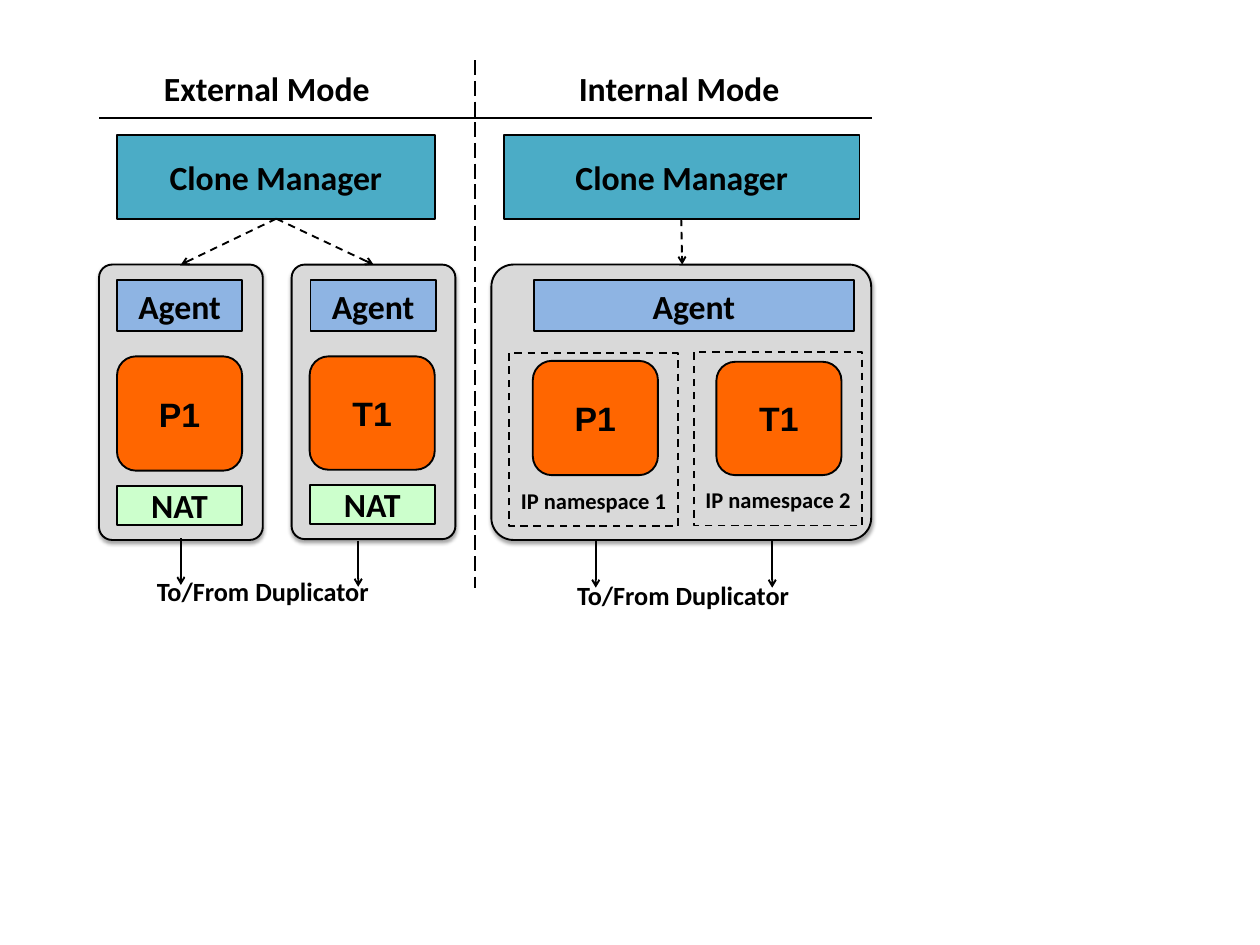
import dataclasses
import typing

import lxml.etree
import pptx
import pptx.dml.color
import pptx.enum.dml
import pptx.enum.shapes
import pptx.enum.text
import pptx.oxml.ns
import pptx.util

Inches = pptx.util.Inches
Pt = pptx.util.Pt
Kind = pptx.enum.shapes.MSO_SHAPE
Dash = pptx.enum.dml.MSO_LINE
Anchor = pptx.enum.text.MSO_ANCHOR
RECT, ROUND = Kind.RECTANGLE, Kind.ROUNDED_RECTANGLE
BLACK, GRAY, ORANGE = "000000", "D9D9D9", "FF6600"
GREEN, TEAL, BLUE = "CCFFCC", "4BACC6", "8EB4E3"


@dataclasses.dataclass
class Box:
    left: float
    top: float
    width: float
    height: float
    fill: str = ""
    text: str = ""
    kind: typing.Any = RECT
    font: str = "Calibri"
    size: float = 27
    dash: typing.Any = None
    shade: bool = False
    frame: dict = dataclasses.field(default_factory=dict)


@dataclasses.dataclass
class Line:
    x: float
    y: float
    endx: float
    endy: float
    dash: typing.Any = None
    arrow: bool = True


@dataclasses.dataclass
class Label:
    left: float
    top: float
    width: float
    height: float
    text: str
    size: float
    frame: dict = dataclasses.field(default_factory=dict)


def put(target: typing.Any, values: dict) -> None:
    for name, value in values.items():
        setattr(target, name, value)


def color(code: str) -> pptx.dml.color.RGBColor:
    return pptx.dml.color.RGBColor.from_string(code)


def node(parent: typing.Any, tag: str, **values: str) -> typing.Any:
    return lxml.etree.SubElement(parent, pptx.oxml.ns.qn(tag), values)


def stroke(line: typing.Any, dash: typing.Any) -> None:
    line.color.rgb = color(BLACK)
    put(line, {"width": Pt(1.5), "dash_style": dash})


def write(frame: typing.Any, text: str, font: str, size: float, form: dict) -> None:
    put(frame, {"word_wrap": True, **form})
    para = frame.paragraphs[0]
    para.alignment = pptx.enum.text.PP_ALIGN.CENTER
    run = para.add_run()
    run.text = text
    put(run.font, {"name": font, "size": Pt(size), "bold": True})
    run.font.color.rgb = color(BLACK)


def draw_box(shapes: typing.Any, box: Box) -> None:
    place = map(Inches, (box.left, box.top, box.width, box.height))
    shape = shapes.add_shape(box.kind, *place)
    shape.shadow.inherit = False
    if box.fill:
        shape.fill.solid()
        shape.fill.fore_color.rgb = color(box.fill)
    else:
        shape.fill.background()
    stroke(shape.line, box.dash)
    if box.shade:
        shape.adjustments[0] = 0.08
        effect = shape._element.spPr.find(pptx.oxml.ns.qn("a:effectLst"))
        shadow = node(effect, "a:outerShdw", blurRad=str(Pt(3.1)),
                      dist=str(Pt(1.8)), dir="5400000", rotWithShape="0")
        node(node(shadow, "a:srgbClr", val=BLACK), "a:alpha", val="35000")
    if box.text:
        form = {"vertical_anchor": Anchor.MIDDLE, **box.frame}
        write(shape.text_frame, box.text, box.font, box.size, form)


def draw_line(shapes: typing.Any, line: Line) -> None:
    place = map(Inches, (line.x, line.y, line.endx, line.endy))
    link = shapes.add_connector(pptx.enum.shapes.MSO_CONNECTOR.STRAIGHT, *place)
    stroke(link.line, line.dash)
    if line.arrow:
        node(link.line._get_or_add_ln(), "a:tailEnd", type="arrow")
    node(link._element.spPr, "a:effectLst")


def draw_label(shapes: typing.Any, label: Label) -> None:
    place = map(Inches, (label.left, label.top, label.width, label.height))
    text = shapes.add_textbox(*place)
    write(text.text_frame, label.text, "Calibri", label.size, label.frame)


DRAW = {Box: draw_box, Line: draw_line, Label: draw_label}


def draw(shapes: typing.Any, items: list) -> None:
    for item in items:
        DRAW[type(item)](shapes, item)


def panel(left: float, width: float, height: float) -> Box:
    return Box(left, 2.94, width, height, GRAY, kind=ROUND, shade=True)


def tile(left: float, top: float, height: float, name: str) -> Box:
    return Box(left, top, 1.39, height, ORANGE, name, ROUND, "Arial")


def chief(left: float, width: float) -> Box:
    return Box(left, 1.5, width, 0.93, TEAL, "Clone Manager")


def agent(left: float, width: float) -> Box:
    return Box(left, 3.11, width, 0.57, BLUE, "Agent")


def space(left: float, top: float, index: int) -> Box:
    form = {"vertical_anchor": Anchor.BOTTOM, "margin_bottom": Inches(0.14)}
    return Box(left, top, 1.87, 1.93, text=f"IP namespace {index}", size=18,
               dash=Dash.DASH, frame=form)


def host(left: float, high: float, name: str) -> list:
    return [panel(left, 1.82, 3.06 - high),
            tile(left + 0.2, 3.96, 1.27 - high, name),
            Box(left + 0.2, 5.4 - high, 1.39, 0.43, GREEN, "NAT")]


def drop(x: float, top: float, end: float) -> Line:
    return Line(x, top, x, end)


def route(left: float, top: float) -> Label:
    return Label(left, top, 3.04, 0.45, "To/From Duplicator", 21)


def title(left: float, text: str) -> Label:
    side, edge = Inches(0.15), Inches(0.08)
    form = {"margin_left": side, "margin_right": side,
            "margin_top": edge, "margin_bottom": edge}
    return Label(left, 0.67, 3.33, 0.61, text, 27, form)


outer = [
    *host(1.1, 0, "P1"), *host(3.24, 0.01, "T1"),
    chief(1.3, 3.53),
    *[Line(3.07, 2.43, x, 2.94, Dash.DASH) for x in (2.01, 4.15)],
    *[agent(x, 1.39) for x in (1.3, 3.45)],
    drop(2.01, 5.98, 6.5), drop(3.98, 6.01, 6.52),
    route(1.4, 6.34),
]
inner = [
    panel(5.46, 4.22, 3.06),
    tile(5.92, 4.01, 1.27, "P1"), tile(7.96, 4.02, 1.26, "T1"),
    chief(5.6, 3.95),
    Line(7.57, 2.43, 7.58, 2.94, Dash.DASH),
    agent(5.93, 3.56),
    space(5.66, 3.92, 1), space(7.71, 3.91, 2),
    *[drop(x, 6.01, 6.53) for x in (6.62, 8.58)],
    route(6.07, 6.39),
]
frame = [
    Line(5.28, 0.67, 5.28, 6.53, Dash.LONG_DASH, False),
    title(1.3, "External Mode"), title(5.88, "Internal Mode"),
    Line(1.1, 1.31, 9.69, 1.31, arrow=False),
]

deck = pptx.Presentation()
put(deck, {"slide_width": Inches(14), "slide_height": Inches(10.5)})
slide = deck.slides.add_slide(deck.slide_layouts[6])
for mode in (outer, inner):
    draw(slide.shapes.add_group_shape().shapes, mode)
draw(slide.shapes, frame)
deck.save("out.pptx")
